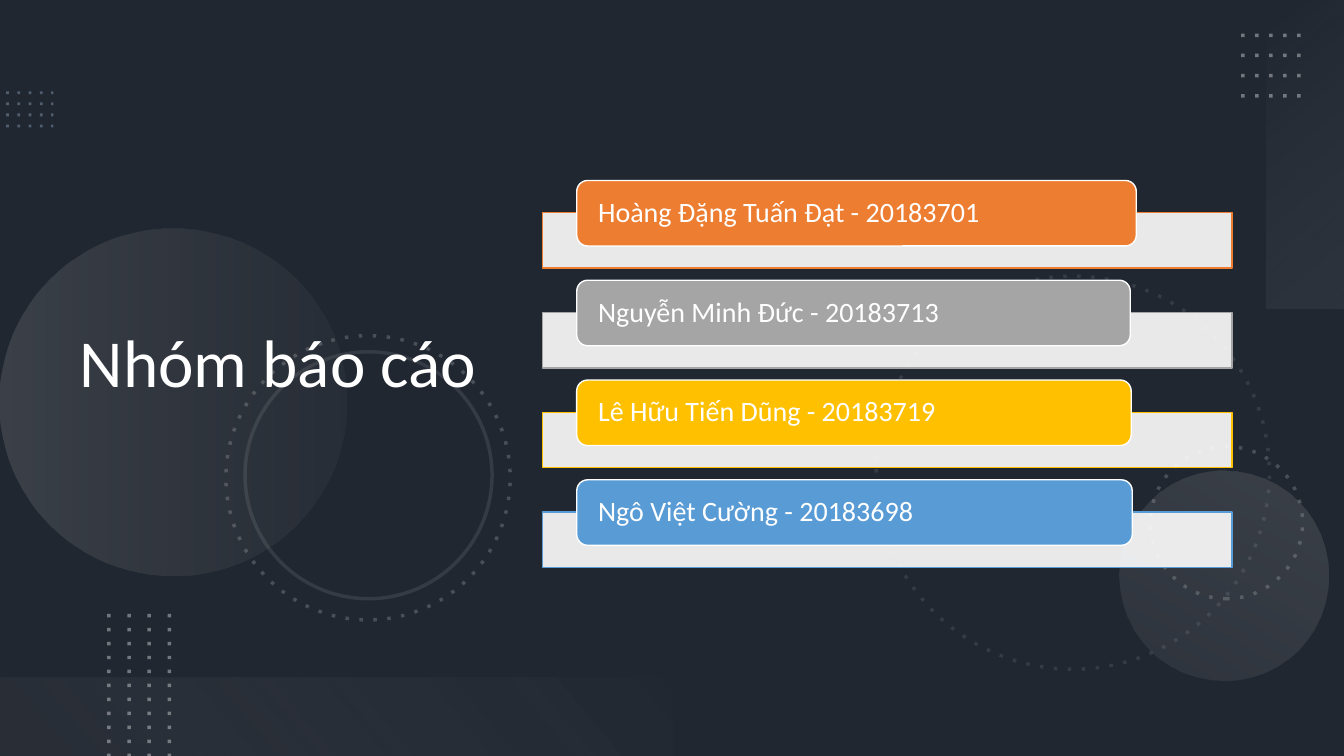
"""Builds a team members slide with a title, four name cards and a dotted dark backdrop."""
import lxml.etree
import pptx
import pptx.dml.color
import pptx.enum.shapes
import pptx.enum.text
import pptx.oxml
import pptx.oxml.ns
import pptx.util
from dataclasses import dataclass
from pptx.util import Inches

SHAPES = pptx.enum.shapes.MSO_SHAPE


@dataclass(frozen=True)
class Theme:
    font: str = "Calibri"
    backdrop: str = "44546A"
    shade: str = "000000"
    white: str = "FFFFFF"
    pale: str = "EFEFEF"
    steel: str = "8296B0"
    silver: str = "AEABAB"
    mist: str = "F5F4F4"
    smoke: str = "757070"
    title_size: int = 48
    member_size: int = 20


THEME = Theme()
WIDTH, HEIGHT = 13.33, 7.5
TITLE = "Nhóm báo cáo"
TITLE_BOX = (0.69, 0.54, 4.59, 6.17)

MEMBERS = [
    ("Hoàng Đặng Tuấn Đạt - 20183701", "ED7D31", 5.55),
    ("Nguyễn Minh Đức - 20183713", "A5A5A5", 5.49),
    ("Lê Hữu Tiến Dũng - 20183719", "FFC000", 5.5),
    ("Ngô Việt Cường - 20183698", "599BD5", 5.51),
]
CARD_LEFT, CARD_TOP, CARD_HEIGHT, CARD_STEP = 5.72, 1.79, 0.65, 0.99
BAR_LEFT, BAR_DROP, BAR_WIDTH, BAR_HEIGHT = 5.38, 0.32, 6.84, 0.55

RINGS = [
    (8.69, 2.74, 3.9, 75, "dot", 10),
    (11.41, 4.43, 1.51, 270, "dot", 20),
    (2.24, 3.33, 2.82, 75, "dot", 20),
    (2.43, 3.49, 2.45, 75, "solid", 10),
]
DISCS = [
    ((0, 2.27, 3.44, 3.44), 270, 90, [(0, THEME.silver, 20), (100, THEME.smoke, 10)]),
    ((11.1, 4.67, 2.08, 2.08), 210, 90, [(0, THEME.silver, 10), (100, THEME.silver, 20)]),
]
PANELS = [
    ((11.42, 1.14, 3.06, 0.78), 270, 140, [(0, THEME.mist, 0), (100, THEME.silver, 10)]),
    ((0, 6.72, 6.67, 0.78), 180, 140,
     [(0, THEME.smoke, 10), (10, THEME.smoke, 10), (100, THEME.pale, 0)]),
]
DOT_GRIDS = [
    ((0.06, 0.92), (0.47, 0), (0, 0.11), THEME.steel, 2, 50),
    ((12.31, 0.35), (0.6, 0), (0, 0.2), THEME.pale, 2.5, 40),
    ((1.08, 6.09), (0, 1.41), (0.2, 0), THEME.pale, 2.5, 40),
]
LINES_PER_GRID = 4


def rgb(code):
    return pptx.dml.color.RGBColor.from_string(code)


def set_opacity(fill_format, percent):
    color = fill_format._xPr.find(".//" + pptx.oxml.ns.qn("a:srgbClr"))
    alpha = lxml.etree.SubElement(color, pptx.oxml.ns.qn("a:alpha"))
    alpha.set("val", str(percent * 1000))


def style_line(line, color, width, opacity=100, dash="solid"):
    line.width = pptx.util.Pt(width)
    line.fill.solid()
    line.fill.fore_color.rgb = rgb(color)
    if opacity < 100:
        set_opacity(line.fill, opacity)
    if dash != "solid":
        preset = lxml.etree.SubElement(line._ln, pptx.oxml.ns.qn("a:prstDash"))
        preset.set("val", dash)


def add_shape(page, kind, bounds, fill=None, opacity=100, rotation=0):
    shape = page.shapes.add_shape(kind, *map(Inches, bounds))
    shape.shadow.inherit = False
    shape.rotation = rotation
    shape.line.fill.background()
    if fill is None:
        shape.fill.background()
    else:
        shape.fill.solid()
        shape.fill.fore_color.rgb = rgb(fill)
        if opacity < 100:
            set_opacity(shape.fill, opacity)
    return shape


def add_gradient_shape(page, kind, bounds, rotation, angle, stops):
    shape = add_shape(page, kind, bounds, rotation=rotation)
    stop_xml = "".join(
        f'<a:gs pos="{place * 1000}"><a:srgbClr val="{color}">'
        f'<a:alpha val="{opacity * 1000}"/></a:srgbClr></a:gs>'
        for place, color, opacity in stops
    )
    gradient = pptx.oxml.parse_xml(
        f'<a:gradFill {pptx.oxml.ns.nsdecls("a")} rotWithShape="1"><a:gsLst>{stop_xml}</a:gsLst>'
        f'<a:lin ang="{angle * 60000}" scaled="0"/></a:gradFill>'
    )
    properties = shape.element.spPr
    properties.replace(properties.find(pptx.oxml.ns.qn("a:noFill")), gradient)


def add_dot_grid(page, start, reach, step, color, width, opacity):
    for index in range(LINES_PER_GRID):
        left, top = (origin + index * gap for origin, gap in zip(start, step))
        ends = (left, top, left + reach[0], top + reach[1])
        connector = page.shapes.add_connector(
            pptx.enum.shapes.MSO_CONNECTOR.STRAIGHT, *map(Inches, ends))
        style_line(connector.line, color, width, opacity, "dot")
        lxml.etree.SubElement(connector.element.spPr, pptx.oxml.ns.qn("a:effectLst"))


def write_text(shape, text, size, side_inset, edge_inset):
    frame = shape.text_frame
    frame.text = text
    frame.word_wrap = True
    frame.vertical_anchor = pptx.enum.text.MSO_ANCHOR.MIDDLE
    frame.margin_left = frame.margin_right = Inches(side_inset)
    frame.margin_top = frame.margin_bottom = Inches(edge_inset)
    para = frame.paragraphs[0]
    para.alignment = pptx.enum.text.PP_ALIGN.LEFT
    para.line_spacing = 0.9
    font = para.runs[0].font
    font.name, font.size = THEME.font, pptx.util.Pt(size)
    font.color.rgb = rgb(THEME.white)


def add_backdrop(page):
    page.background.fill.solid()
    page.background.fill.fore_color.rgb = rgb(THEME.backdrop)
    add_shape(page, SHAPES.RECTANGLE, (0, 0, WIDTH, HEIGHT), THEME.shade, 53)
    for disc in DISCS:
        add_gradient_shape(page, SHAPES.OVAL, *disc)
    for left, top, size, rotation, dash, opacity in RINGS:
        ring = add_shape(page, SHAPES.OVAL, (left, top, size, size), rotation=rotation)
        style_line(ring.line, THEME.pale, 2.5, opacity, dash)
    for panel in PANELS:
        add_gradient_shape(page, SHAPES.RECTANGLE, *panel)
    for grid in DOT_GRIDS:
        add_dot_grid(page, *grid)


def add_title(page):
    title = page.shapes.title
    title.left, title.top, title.width, title.height = map(Inches, TITLE_BOX)
    write_text(title, TITLE, THEME.title_size, 0.1, 0.05)
    title.element.getparent().append(title.element)


def add_members(page):
    for index, (member, color, width) in enumerate(MEMBERS):
        top = CARD_TOP + index * CARD_STEP
        bar = add_shape(page, SHAPES.RECTANGLE,
                        (BAR_LEFT, top + BAR_DROP, BAR_WIDTH, BAR_HEIGHT), THEME.white, 90)
        style_line(bar.line, color, 1)
        card = add_shape(page, SHAPES.ROUNDED_RECTANGLE,
                         (CARD_LEFT, top, width, CARD_HEIGHT), color)
        style_line(card.line, THEME.white, 1)
        write_text(card, member, THEME.member_size, 0.18, 0)


def main():
    deck = pptx.Presentation()
    deck.slide_width, deck.slide_height = Inches(WIDTH), Inches(HEIGHT)
    page = deck.slides.add_slide(deck.slide_layouts.get_by_name("Title Only"))
    add_backdrop(page)
    add_title(page)
    add_members(page)
    deck.save("out.pptx")


if __name__ == "__main__":
    main()
